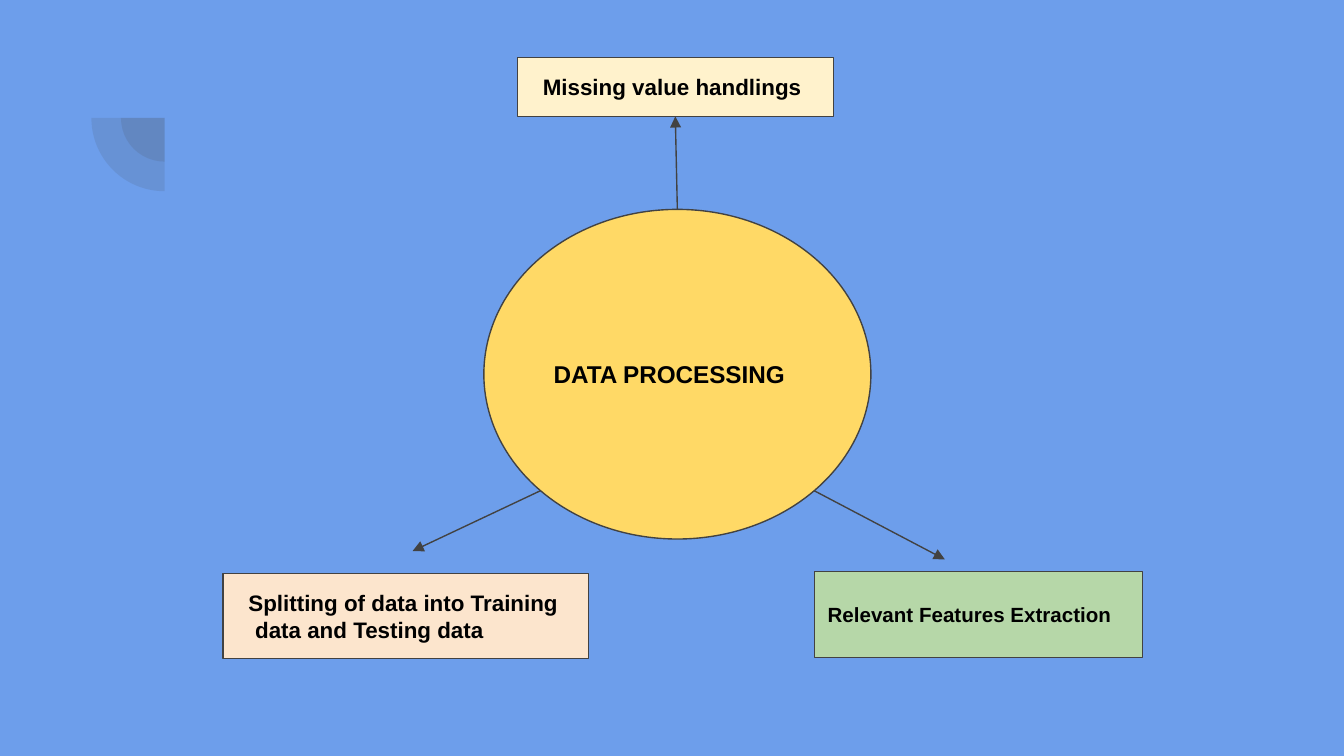
from dataclasses import dataclass
from math import cos, radians, sin

from lxml import etree
from pptx import Presentation
from pptx.dml.color import RGBColor
from pptx.enum.shapes import MSO_CONNECTOR, MSO_SHAPE
from pptx.enum.text import MSO_ANCHOR, PP_ALIGN
from pptx.oxml.ns import qn
from pptx.util import Inches, Pt

RECT, OVAL, PIE = MSO_SHAPE.RECTANGLE, MSO_SHAPE.OVAL, MSO_SHAPE.PIE
STRAIGHT = MSO_CONNECTOR.STRAIGHT
MIDDLE, LEFT = MSO_ANCHOR.MIDDLE, PP_ALIGN.LEFT
TOP, BOTTOM = 0, 2

W, H = Inches(10), Inches(5.625)
COLORS = {
    "sky": "6D9EEB", "ink": "424242", "text": "000000", "yellow": "FFD966",
    "cream": "FFF2CC", "green": "B6D7A8", "peach": "FCE5CD",
}
LINE_WIDTH = Pt(0.75)


@dataclass
class Node:
    """A labelled shape; lengths are percentages of the slide."""
    text: str
    x: float
    y: float
    w: float
    h: float
    color: str
    size: int
    kind: int = RECT
    margin: float = 0   # inches, left edge of wrapped lines
    indent: float = 0   # inches, first line relative to the margin


HUB = Node("DATA PROCESSING", 36, 27.7, 28.8, 43.6, "yellow", 13, OVAL)
MISSING = Node("Missing value handlings", 38.5, 7.6, 23.5, 7.8, "cream", 12,
               margin=0.09)
FEATURES = Node("Relevant Features Extraction", 60.6, 75.6, 24.4, 11.4, "green", 11)
SPLITTING = Node("Splitting of data into Training data and Testing data",
                 16.6, 75.9, 27.2, 11.2, "peach", 12, margin=0.14, indent=-0.05)

# Angle on the hub's edge (clockwise from the right), then the arrow's tip
SPOKES = [(45, 70.3, 74), (135, 30.7, 72.9)]
# Quarter discs sharing one centre, radius as a share of the width
CORNER_X, CORNER_Y, RADII = 12.25, 15.6, (3.25, 5.45)


def px(share: float) -> int:
    return round(W * share / 100)


def py(share: float) -> int:
    return round(H * share / 100)


def rgb(name: str) -> RGBColor:
    return RGBColor.from_string(COLORS[name])


def add_quarter(s, radius: float) -> None:
    r = px(radius)
    sp = s.shapes.add_shape(PIE, px(CORNER_X) - r, py(CORNER_Y) - r, 2 * r, 2 * r)
    sp.adjustments[0], sp.adjustments[1] = 54, 108  # 90 to 180 degrees
    sp.shadow.inherit = False
    sp.line.fill.background()
    sp.fill.solid()
    sp.fill.fore_color.rgb = rgb("ink")
    color = sp.fill._xPr.find(qn("a:solidFill"))[0]
    etree.SubElement(color, qn("a:alpha"), val="13000")


def add_node(s, node: Node):
    sp = s.shapes.add_shape(node.kind, px(node.x), py(node.y), px(node.w), py(node.h))
    sp.shadow.inherit = False
    sp.fill.solid()
    sp.fill.fore_color.rgb = rgb(node.color)
    sp.line.color.rgb = rgb("ink")
    sp.line.width = LINE_WIDTH
    tf = sp.text_frame
    frame = {"word_wrap": True, "vertical_anchor": MIDDLE}
    frame |= {f"margin_{side}": Inches(0.1) for side in ("left", "top", "right", "bottom")}
    for name, value in frame.items():
        setattr(tf, name, value)
    p = tf.paragraphs[0]
    p.alignment = LEFT
    pPr = p._p.get_or_add_pPr()
    pPr.set("marL", str(Inches(node.margin)))
    pPr.set("indent", str(Inches(node.indent)))
    r = p.add_run()
    r.text = node.text
    for name, value in {"name": "Arial", "size": Pt(node.size), "bold": True}.items():
        setattr(r.font, name, value)
    r.font.color.rgb = rgb("text")
    return sp


def add_arrow(s, x1: float, y1: float, x2: float, y2: float):
    line = s.shapes.add_connector(STRAIGHT, px(x1), py(y1), px(x2), py(y2))
    line.line.color.rgb = rgb("ink")
    line.line.width = LINE_WIDTH
    etree.SubElement(line.line._get_or_add_ln(), qn("a:tailEnd"), type="triangle")
    etree.SubElement(line._element.spPr, qn("a:effectLst"))
    return line


def main() -> None:
    prs = Presentation()
    prs.slide_width, prs.slide_height = W, H
    s = prs.slides.add_slide(prs.slide_layouts[6])
    s.background.fill.solid()
    s.background.fill.fore_color.rgb = rgb("sky")

    # Corner ornament
    for radius in RADII:
        add_quarter(s, radius)

    # Hub and its steps
    hub = add_node(s, HUB)
    missing, _, _ = [add_node(s, node) for node in (MISSING, FEATURES, SPLITTING)]

    # Arrow up to the first step, joined at both ends
    up = add_arrow(s, 50, 28, 50, 15)
    up.begin_connect(hub, TOP)
    up.end_connect(missing, BOTTOM)

    # Arrows from the hub's edge towards the lower steps
    for angle, x, y in SPOKES:
        a = radians(angle)
        add_arrow(s, HUB.x + HUB.w / 2 * (1 + cos(a)),
                  HUB.y + HUB.h / 2 * (1 + sin(a)), x, y)

    prs.save("out.pptx")


if __name__ == "__main__":
    main()
